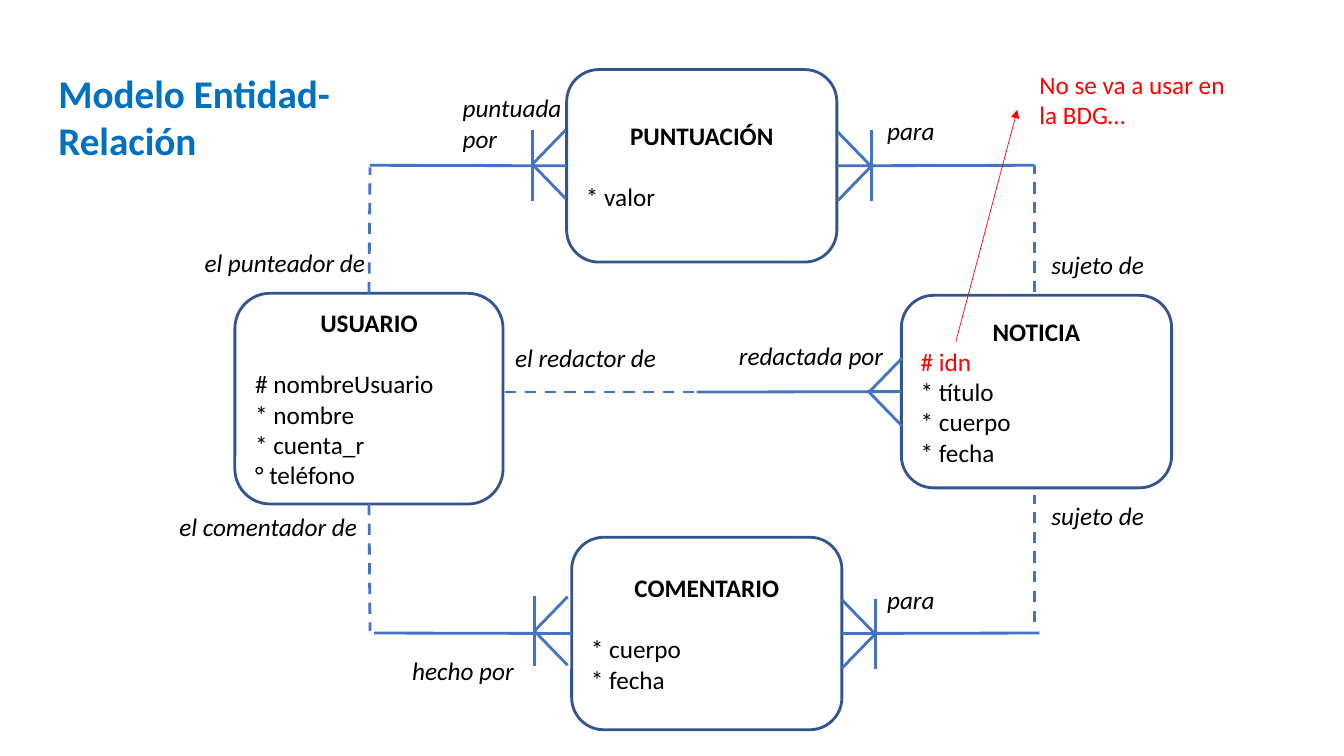
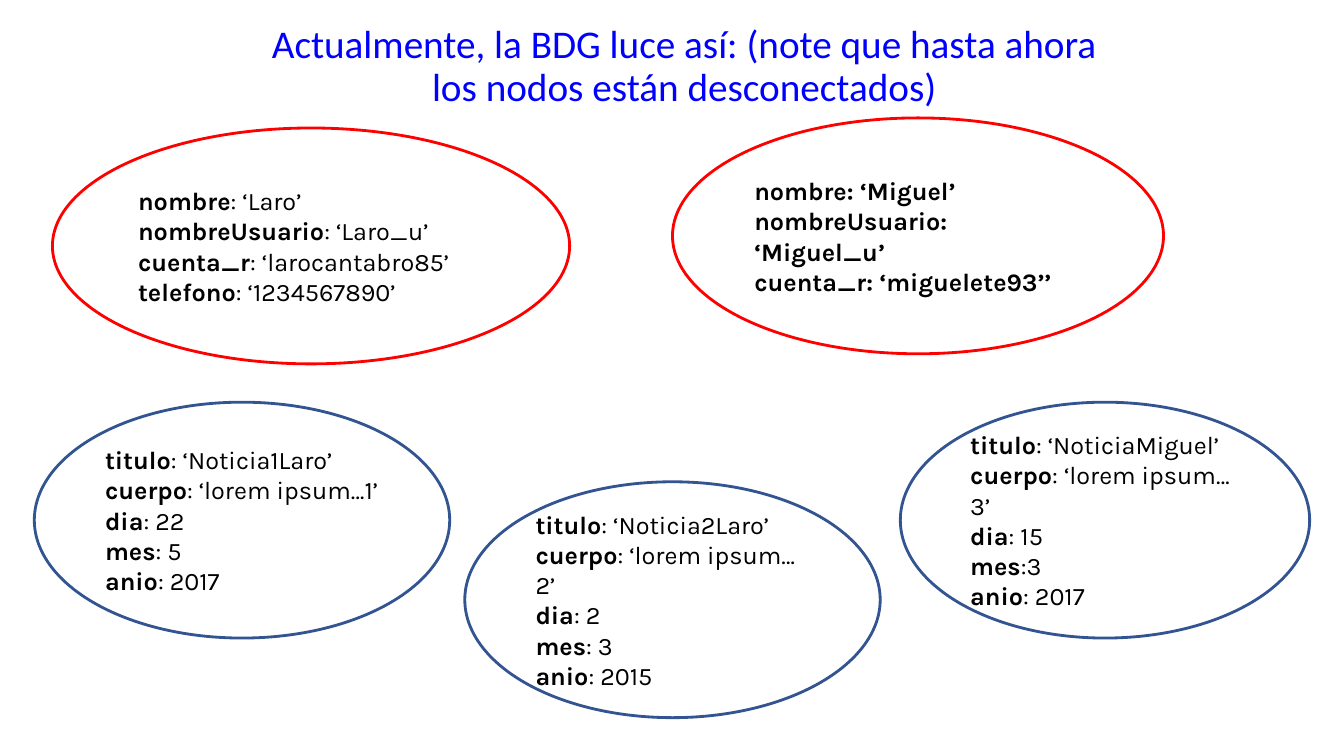
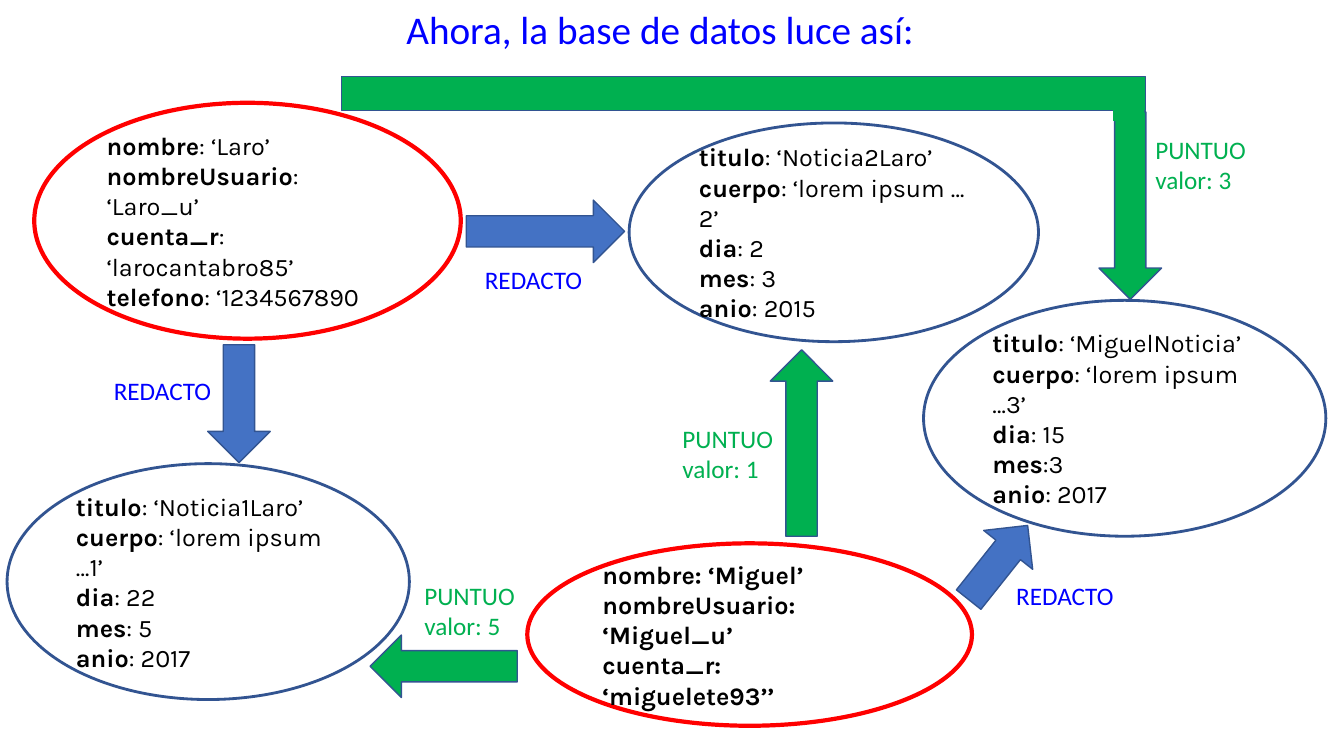
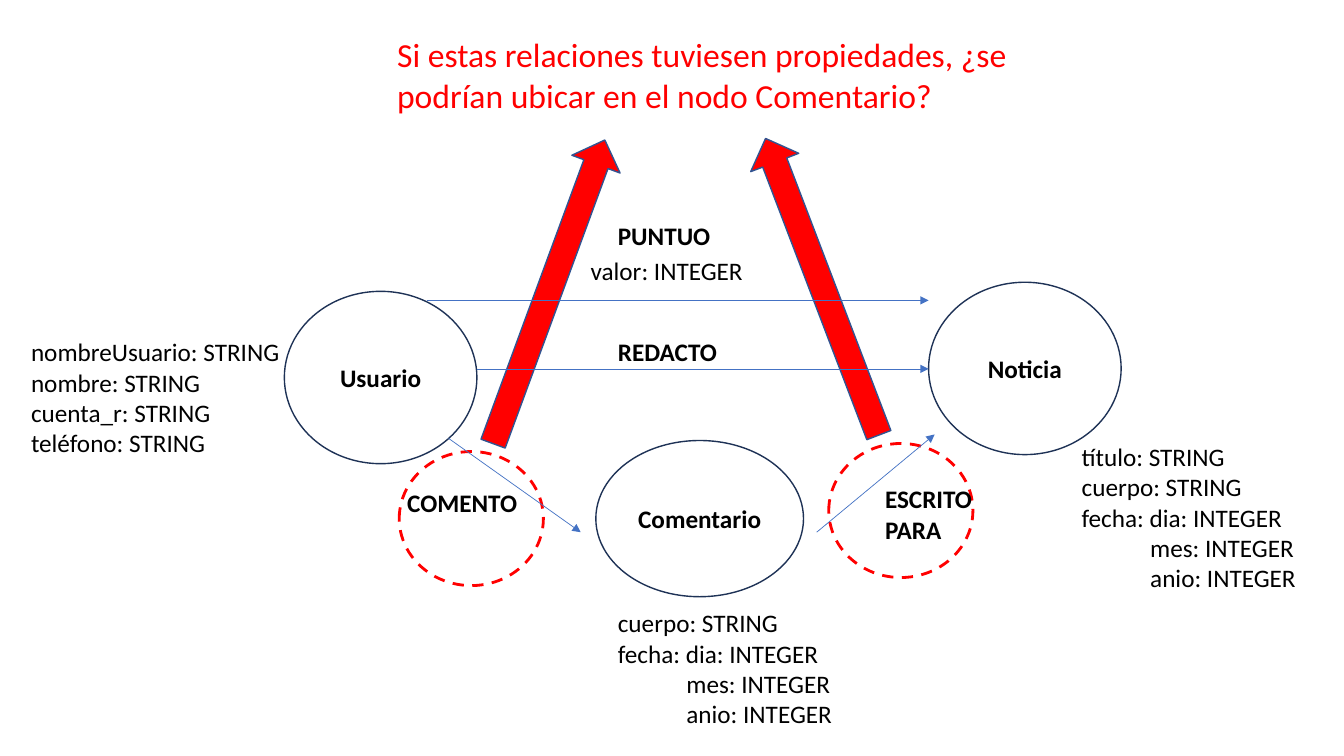
from lxml.etree import SubElement
from pptx import Presentation
from pptx.dml.color import RGBColor
from pptx.enum.dml import MSO_LINE
from pptx.enum.shapes import MSO_CONNECTOR, MSO_SHAPE as Shape
from pptx.enum.text import MSO_ANCHOR, MSO_AUTO_SIZE, PP_ALIGN
from pptx.oxml.ns import qn
from pptx.util import Inches, Pt

COLORS = {
    "black": "000000", "red": "FF0000", "blue": "0000FF", "title": "0070C0",
    "green": "00B050", "accent": "4472C4", "outline": "325491", "navy": "1E3256",
}
BODY = {"name": "Calibri", "size": Pt(18), "color": "black"}
NODE = {**BODY, "name": "Karla"}
ITALIC = {**BODY, "italic": True}
BOLD = {**BODY, "bold": True}
HEADING = {**BODY, "size": Pt(28), "color": "blue"}
HEADING_PARA = {"alignment": PP_ALIGN.CENTER, "line_spacing": 0.9, "space_before": Pt(10)}
BLANK_LINE = 22
TOP, LEFT, BOTTOM, RIGHT = range(4)

ENTITIES = {
    "USUARIO": ((2.33, 2.91, 2.66, 2.09), BLANK_LINE,
                ["# nombreUsuario", "* nombre", "* cuenta_r", "° teléfono"]),
    "NOTICIA": ((8.94, 2.93, 2.68, 1.91), 0, ["# idn", "* título", "* cuerpo", "* fecha"]),
    "PUNTUACIÓN": ((5.62, 0.69, 2.68, 1.91), BLANK_LINE, ["* valor"]),
    "COMENTARIO": ((5.67, 5.33, 2.68, 1.91), BLANK_LINE, ["* cuerpo", "* fecha"]),
}
RELATIONS = [
    ((5.62, 1.64), (3.67, 1.64), False, ("PUNTUACIÓN", LEFT)),
    ((8.3, 1.64), (10.26, 1.64), False, ("PUNTUACIÓN", RIGHT)),
    ((5.67, 6.28), (3.71, 6.28), False, ("COMENTARIO", LEFT)),
    ((8.35, 6.28), (10.31, 6.28), False, ("COMENTARIO", RIGHT)),
    ((8.94, 3.89), (6.91, 3.89), False, ("NOTICIA", LEFT)),
    ((3.66, 2.91), (3.67, 1.66), True, ("USUARIO", TOP)),
    ((3.67, 5), (3.67, 6.26), True, ("USUARIO", BOTTOM)),
    ((10.26, 2.9), (10.26, 1.64), True, None),
    ((10.26, 6.17), (10.26, 4.91), True, None),
    ((5.01, 3.89), (6.91, 3.89), True, None),
]
CROW_FEET = [
    (5.28, 1.63, 1, 1.64), (8.64, 1.65, -1, 1.64),
    (5.3, 6.26, 1, 6.26), (8.68, 6.29, -1, 6.29),
    (8.62, 3.89, 1, None),
]
TOE_WIDTH, TOE_HEIGHT, BAR_HALF = 0.33, 0.34, 0.35
ROLES = [
    ("el punteador de", (1.93, 2.4, 1.81, 0.4)),
    ("sujeto de", (10.33, 2.42, 1.13, 0.4)),
    ("para", (8.7, 1.09, 0.68, 0.4)),
    ("sujeto de", (10.33, 4.91, 1.13, 0.4)),
    ("para", (8.7, 5.75, 0.68, 0.4)),
    ("el comentador de", (1.68, 5.02, 1.98, 0.4)),
    ("el redactor de", (5.01, 3.35, 1.62, 0.4)),
    ("redactada por", (7.23, 3.33, 1.65, 0.4)),
]
WRAPPED_ROLES = [
    (["puntuada", "por"], (4.49, 0.87, 1.3, 0.71)),
    (["hecho por"], (3.99, 6.45, 1.81, 0.4)),
]

LARO = [("nombre", ": ‘Laro’"), ("nombreUsuario", ": ‘Laro_u’"),
        ("cuenta_r", ": ‘larocantabro85’")]
MIGUEL = [("nombre: ‘Miguel’", ""), ("nombreUsuario: ‘Miguel_u’", ""),
          ("cuenta_r: ‘miguelete93’’", "")]


def news(title, body, day, month, year):
    return [("titulo", f": ‘{title}’"), ("cuerpo", f": ‘lorem ipsum{body}’"),
            ("dia", f": {day}"), ("mes", f":{month}"), ("anio", f": {year}")]


LOOSE_NODES = [
    ((0.52, 1.27, 5.13, 2.34), "red", LARO + [("telefono", ": ‘1234567890’")]),
    ((6.67, 1.17, 4.87, 2.34), "red", MIGUEL),
    ((0.34, 3.99, 4.12, 2.34), "outline", news("Noticia1Laro", "…1", 22, " 5", 2017)),
    ((4.61, 4.78, 4.12, 2.34), "outline", news("Noticia2Laro", "…2", 2, " 3", 2015)),
    ((8.93, 3.99, 4.06, 2.34), "outline", news("NoticiaMiguel", "…3", 15, "3", 2017)),
]
LINKED_NODES = [
    ((0.34, 1.02, 4.23, 2.34), "red", LARO + [("telefono", ": ‘1234567890")]),
    ((5.23, 5.39, 4.41, 1.81), "red", MIGUEL),
    ((0.07, 4.6, 3.99, 2.34), "outline", news("Noticia1Laro", " …1", 22, " 5", 2017)),
    ((6.24, 1.22, 4.06, 2.17), "outline", news("Noticia2Laro", " …2", 2, " 3", 2015)),
    ((9.16, 2.98, 3.99, 2.34), "outline", news("MiguelNoticia", " …3", 15, "3", 2017)),
]
BLOCK_ARROWS = [
    ((2.06, 3.42, 0.62, 1.17), 0, "accent"),
    ((5.1, 1.51, 0.62, 1.57), 270, "accent"),
    ((9.59, 5.11, 0.62, 0.94), 218.5, "accent"),
    ((7.64, 3.47, 0.62, 1.85), 180, "green"),
    ((4.09, 5.88, 0.62, 1.46), 90, "green"),
    ((10.9, 1.11, 0.62, 1.86), 0, "green"),
]
WROTE = [(1.03, 3.67), (4.71, 2.57), (9.98, 5.71)]
SCORED = [(1, (6.67, 4.15)), (5, (4.11, 5.71)), (3, (11.36, 1.28))]

RINGS = [(3.96, 4.48, 1.43, 1.33), (8.22, 4.4, 1.43, 1.33)]
QUESTION_ARROWS = [((3.84, 2.64, 3.21, 0.51), 290.2), ((6.58, 2.59, 3.15, 0.51), 249.1)]
NODE_TYPES = [
    ("Usuario", (2.82, 2.89, 1.91, 1.71)),
    ("Noticia", (9.21, 2.8, 1.91, 1.71)),
    ("Comentario", (5.91, 4.37, 2.06, 1.55)),
]
EDGES = [
    ((4.73, 3.66), (9.21, 3.66)), ((4.24, 2.98), (9.21, 2.98)),
    ((4.45, 4.35), (5.76, 5.28)), ((8.1, 5.28), (9.27, 4.31)),
]
EDGE_NAMES = [
    ("REDACTO", (6.03, 3.29, 1.19, 0.4), False),
    ("COMENTO", (3.94, 4.79, 1.3, 0.4), False),
    ("PUNTUO", (6.03, 2.14, 1.13, 0.4), False),
    ("ESCRITO PARA", (8.68, 4.75, 1.17, 0.71), True),
]
DATE = ["fecha: dia: INTEGER"]
DATE_REST = ["mes: INTEGER", "anio: INTEGER"]
DATE_INDENT = 0.68
PROPERTIES = [
    ((0.21, 3.29, 2.7, 1.62), ["nombreUsuario: STRING", "nombre: STRING",
                               "cuenta_r: STRING", "teléfono: STRING"], []),
    ((5.76, 2.48, 1.93, 0.71), ["valor: INTEGER"], []),
    ((10.63, 4.33, 2.7, 1.92), ["título: STRING", "cuerpo: STRING"] + DATE, DATE_REST),
    ((6.03, 5.98, 2.7, 1.62), ["cuerpo: STRING"] + DATE, DATE_REST),
]


def rgb(color):
    return RGBColor.from_string(COLORS[color])


def apply(target, values):
    for name, value in values.items():
        setattr(target, name, value)


def line_of(text, font, indent=0, **para_format):
    return [(text, font)], indent, para_format


def write(frame, lines):
    for index, (spans, indent, para_format) in enumerate(lines):
        para = frame.paragraphs[0] if index == 0 else frame.add_paragraph()
        apply(para, {"alignment": PP_ALIGN.LEFT, **para_format})
        if indent:
            para._p.get_or_add_pPr().set("marL", str(Inches(indent)))
        for text, font in spans:
            span = para.add_run()
            span.text = text
            apply(span.font, {key: value for key, value in font.items() if key != "color"})
            span.font.color.rgb = rgb(font["color"])


def add_text(page, at, lines, wrap=True, grow=True):
    box = page.shapes.add_textbox(*map(Inches, at))
    fit = MSO_AUTO_SIZE.SHAPE_TO_FIT_TEXT if grow else MSO_AUTO_SIZE.NONE
    apply(box.text_frame, {"word_wrap": wrap, "auto_size": fit})
    write(box.text_frame, lines)


def add_heading(page, at, text):
    add_text(page, at, [line_of(text, HEADING, **HEADING_PARA)], grow=False)


def add_figure(page, kind, at, fill=None, line=None, width=1, dash=False, turn=0, lines=()):
    figure = page.shapes.add_shape(kind, *map(Inches, at))
    figure.shadow.inherit = False
    figure.rotation = turn
    if fill:
        figure.fill.solid()
        figure.fill.fore_color.rgb = rgb(fill)
    else:
        figure.fill.background()
    if line:
        draw_line(figure.line, line, width, dash)
    else:
        figure.line.fill.background()
    if lines:
        apply(figure.text_frame, {"word_wrap": True, "vertical_anchor": MSO_ANCHOR.MIDDLE})
        write(figure.text_frame, lines)
    return figure


def draw_line(line, color, width, dash):
    line.color.rgb = rgb(color)
    line.width = Pt(width)
    if dash:
        line.dash_style = MSO_LINE.DASH


def add_link(page, start, end, color="accent", width=2, dash=False, arrow=False):
    link = page.shapes.add_connector(MSO_CONNECTOR.STRAIGHT, *map(Inches, start + end))
    draw_line(link.line, color, width, dash)
    if arrow:
        SubElement(link.line._get_or_add_ln(), qn("a:tailEnd"), type="triangle")
    SubElement(link._element.spPr, qn("a:effectLst"))
    return link


def add_node(page, at, color, width, fields):
    lines = []
    for key, value in fields:
        spans = [(key, {**NODE, "bold": True})]
        if value:
            spans.append((value, NODE))
        lines.append((spans, 0, {}))
    add_figure(page, Shape.OVAL, at, line=color, width=width, lines=lines)


def build_entity_model(page):
    boxes = {}
    for name, (at, gap, fields) in ENTITIES.items():
        lines = [line_of(name, BOLD, alignment=PP_ALIGN.CENTER, space_after=Pt(gap))]
        for field in fields:
            color = "red" if field == "# idn" else "black"
            lines.append(line_of(field, {**BODY, "color": color}))
        boxes[name] = add_figure(page, Shape.ROUNDED_RECTANGLE, at, line="outline",
                                 width=2, lines=lines)
    for start, end, dash, joint in RELATIONS:
        link = add_link(page, start, end, dash=dash)
        if joint:
            name, side = joint
            link.begin_connect(boxes[name], side)
    for x, y, side, bar in CROW_FEET:
        for toe in (-TOE_HEIGHT, TOE_HEIGHT):
            add_link(page, (x, y), (x + side * TOE_WIDTH, y + toe))
        if bar:
            add_link(page, (x, bar - BAR_HALF), (x, bar + BAR_HALF))
    for text, at in ROLES:
        add_text(page, at, [line_of(text, ITALIC)], wrap=False)
    for texts, at in WRAPPED_ROLES:
        add_text(page, at, [line_of(text, ITALIC) for text in texts])
    add_link(page, (9.48, 3.39), (10.09, 1.09), "red", 0.5, arrow=True)
    add_text(page, (10.21, 0.64, 2.07, 0.71),
             [line_of("No se va a usar en la BDG…", {**BODY, "color": "red"})])
    add_text(page, (0.48, 0.64, 3.01, 1.04),
             [line_of("Modelo Entidad-Relación", {**BOLD, "size": Pt(28), "color": "title"})])


def build_loose_nodes(page):
    add_heading(page, (2.41, 0.2, 8.75, 0.97),
                "Actualmente, la BDG luce así: (note que hasta ahora los nodos están desconectados)")
    for at, color, fields in LOOSE_NODES:
        add_node(page, at, color, 2, fields)


def build_linked_nodes(page):
    for at, color, fields in LINKED_NODES:
        add_node(page, at, color, 3 if color == "red" else 2, fields)
    add_heading(page, (2.17, 0.06, 8.75, 0.8), "Ahora, la base de datos luce así:")
    for at, turn, fill in BLOCK_ARROWS:
        add_figure(page, Shape.DOWN_ARROW, at, fill, "outline", turn=turn)
    add_figure(page, Shape.RECTANGLE, (3.39, 0.76, 7.97, 0.34), "green", "outline")
    add_figure(page, Shape.RECTANGLE, (11.04, 1.02, 0.31, 0.18), "green")
    for corner in WROTE:
        add_text(page, corner + (1.18, 0.4),
                 [line_of("REDACTO", {**BODY, "color": "blue"})], wrap=False)
    for score, corner in SCORED:
        lines = [line_of(text, {**BODY, "color": "green"})
                 for text in ("PUNTUO", f"valor: {score}")]
        add_text(page, corner + (1.11, 0.71), lines, wrap=False)


def build_graph_schema(page):
    for at in RINGS:
        add_figure(page, Shape.OVAL, at, line="red", width=2, dash=True)
    for at, turn in QUESTION_ARROWS:
        add_figure(page, Shape.RIGHT_ARROW, at, "red", "outline", turn=turn)
    question = "Si estas relaciones tuviesen propiedades, ¿se podrían ubicar en el nodo Comentario?"
    add_text(page, (3.84, 0.29, 6.3, 0.91),
             [line_of(question, {**BODY, "size": Pt(24), "color": "red"})])
    for name, at in NODE_TYPES:
        add_figure(page, Shape.OVAL, at, line="navy",
                   lines=[line_of(name, BOLD, alignment=PP_ALIGN.CENTER)])
    for at, fields, indented in PROPERTIES:
        lines = [line_of(field, BODY) for field in fields]
        lines += [line_of(field, BODY, DATE_INDENT) for field in indented]
        add_text(page, at, lines)
    for start, end in EDGES:
        add_link(page, start, end, width=0.5, arrow=True)
    for name, at, wrap in EDGE_NAMES:
        add_text(page, at, [line_of(name, BOLD)], wrap)


def main():
    deck = Presentation()
    apply(deck, {"slide_width": Inches(13.33), "slide_height": Inches(7.5)})
    for build in (build_entity_model, build_loose_nodes, build_linked_nodes, build_graph_schema):
        build(deck.slides.add_slide(deck.slide_layouts[6]))
    deck.save("out.pptx")


if __name__ == "__main__":
    main()
